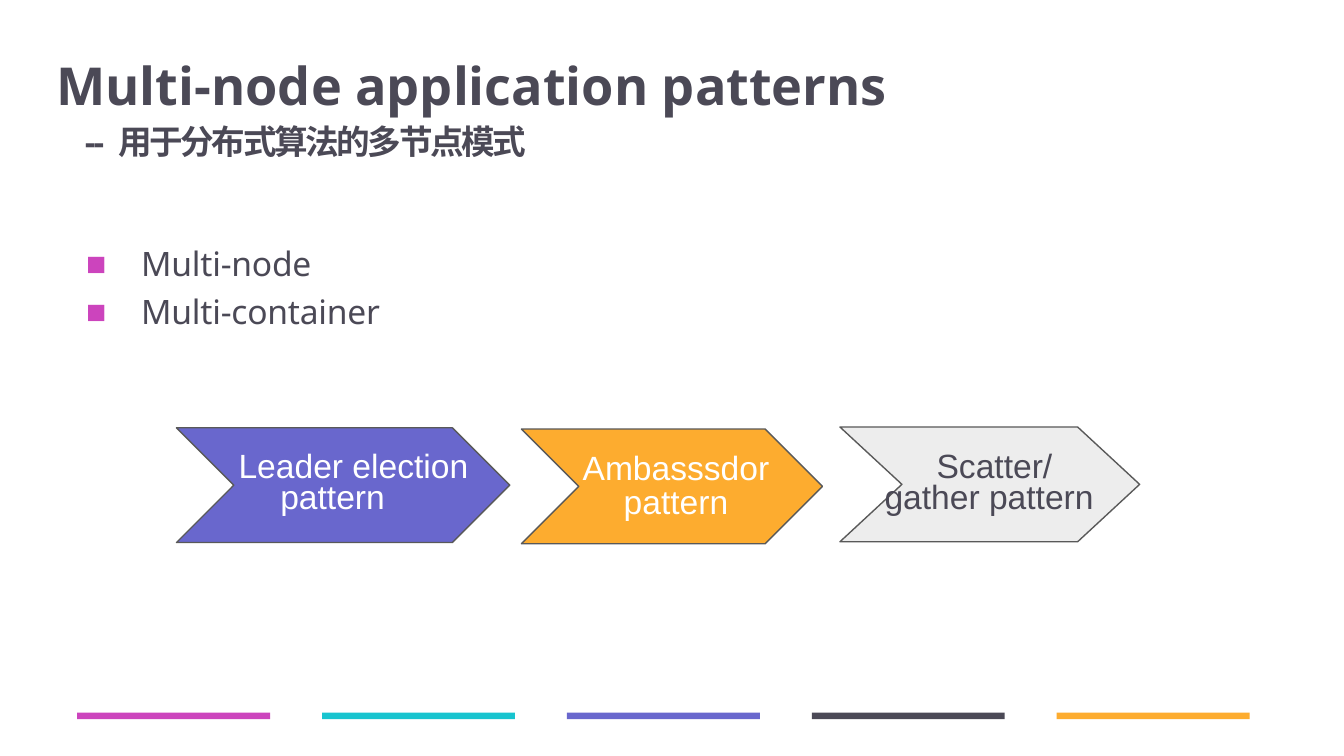
from lxml import etree
from pptx import Presentation, util as u
from pptx.dml.color import RGBColor
from pptx.enum import shapes, text
from pptx.oxml import ns

HUES = {"pink": "CC44BD", "teal": "17C4CF", "blue": "6967CD", "dark": "4B4956",
        "gold": "FDAC2F", "pale": "EDEDED", "edge": "595959", "white": "FFFFFF"}
UNIT = 0.1  # inches in one column or row of the grid


def hue(name):
    return RGBColor.from_string(HUES[name])


def write(frame, lines, font="Arial", size=18, color="dark", bold=False, align="LEFT",
          top=0.01, before=1, lead=None, margin=0, first=0, track=0, mark=None):
    """Fill a text frame, one paragraph for each line."""
    frame.word_wrap = True
    frame.auto_size = text.MSO_AUTO_SIZE.NONE
    frame.vertical_anchor = text.MSO_ANCHOR.TOP
    frame.margin_left = frame.margin_right = frame.margin_bottom = 0
    frame.margin_top = u.Inches(top)
    for i, line in enumerate(lines):
        para = frame.add_paragraph() if i else frame.paragraphs[0]
        para.alignment = getattr(text.PP_ALIGN, align)
        para.space_before = u.Pt(before)
        para.line_spacing = u.Pt(lead) if lead else 1.0
        props = para._p.get_or_add_pPr()
        props.set("marL", str(u.Inches(margin)))
        props.set("indent", str(u.Inches(first)))
        if mark:
            tint = etree.SubElement(props, ns.qn("a:buClr"))
            etree.SubElement(tint, ns.qn("a:srgbClr"), val=HUES[mark])
            etree.SubElement(props, ns.qn("a:buFont"), typeface="Arial")
            etree.SubElement(props, ns.qn("a:buChar"), char="■")
        run = para.add_run()
        run.text = line
        run.font.name, run.font.size, run.font.bold = font, u.Pt(size), bold
        run.font.color.rgb = hue(color)
        look = run._r.get_or_add_rPr()
        look.set("lang", "en-US")
        if track:
            look.set("spc", str(round(track * 100)))


class Deck:
    def __init__(self, wide, high):
        self.pres = Presentation()
        self.pres.slide_width, self.pres.slide_height = u.Inches(wide), u.Inches(high)
        self.slide = self.pres.slides.add_slide(self.pres.slide_layouts[1])

    def box(self, *grid):
        return [u.Inches(n * UNIT) for n in grid]

    def holder(self, index, grid, lines, **style):
        item = self.slide.placeholders[index]
        item.left, item.top, item.width, item.height = self.box(*grid)
        write(item.text_frame, lines, **style)

    def label(self, grid, lines, **style):
        item = self.slide.shapes.add_textbox(*self.box(*grid))
        write(item.text_frame, lines, **style)

    def shape(self, kind, grid, fill, line=None):
        item = self.slide.shapes.add_shape(kind, *self.box(*grid))
        item.shadow.inherit = False
        item.fill.solid()
        item.fill.fore_color.rgb = hue(fill)
        if line:
            item.line.color.rgb = hue(line)
            item.line.width = u.Pt(0.75)
        else:
            item.line.fill.background()
        return item

    def bar(self, grid, fill):
        self.shape(shapes.MSO_SHAPE.RECTANGLE, grid, fill)

    def arrow(self, grid, fill, notch):
        item = self.shape(shapes.MSO_SHAPE.CHEVRON, grid, fill, "edge")
        item.adjustments[0] = notch


deck = Deck(10, 10 * 9 / 16)

# Footer bars
for i, fill in enumerate(["pink", "teal", "blue", "dark", "gold"]):
    deck.bar((5.74 + 18.22 * i, 53.03, 14.36, 0.48), fill)

# Title, subtitle and list
deck.holder(0, (4.2, 3.85, 85.8, 4.8), ["Multi-node application patterns"],
            font="Noto Sans", size=28, bold=True)
deck.label((6.3, 8.9, 51.8, 3.2), ["--  用于分布式算法的多节点模式"], bold=True, track=-1.3)
deck.holder(1, (6.3, 17.5, 27.3, 7.2), ["Multi-node", "Multi-container"],
            font="Noto Sans", top=0.06, before=4.2, margin=0.42, first=-0.41,
            track=-0.1, mark="pink")

# Pattern arrows: place, fill, notch, label place, lines, colour, first indent
steps = [
    ((13.13, 31.83, 24.8, 8.54), "blue", 0.5,
     (14.5, 33.53, 20.4, 4.9), ["Leader election pattern"], "white", 0.31),
    ((38.8, 31.92, 22.4, 8.54), "gold", 0.5,
     (42.9, 33.63, 14.7, 5.1), ["Ambasssdor", "pattern"], "white", 0),
    ((62.5, 31.77, 22.3, 8.54), "pale", 0.54,
     (65.4, 33.53, 16.3, 4.9), ["Scatter/gather pattern"], "dark", 0.08),
]
for place, fill, notch, spot, lines, color, first in steps:
    deck.arrow(place, fill, notch)
    deck.label(spot, lines, color=color, align="CENTER", top=0.03, before=1.8,
               lead=16.5, margin=0.01, first=first)

deck.pres.save("out.pptx")
